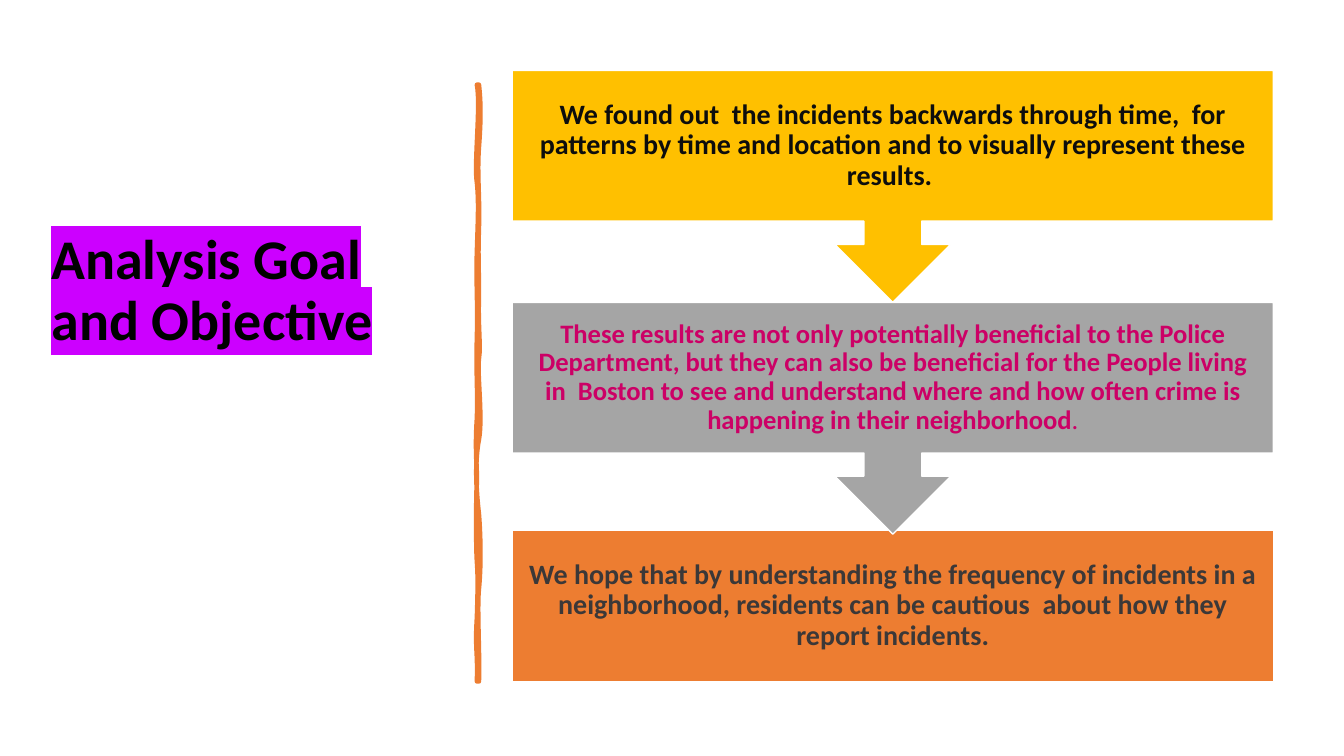
import pptx
import pptx.util
import pptx.dml.color
import pptx.enum.shapes
import pptx.enum.text
import pptx.oxml
import pptx.oxml.ns

Inches, Pt = pptx.util.Inches, pptx.util.Pt
SHAPE = pptx.enum.shapes.MSO_SHAPE
ALIGN = pptx.enum.text.PP_ALIGN
MIDDLE = pptx.enum.text.MSO_ANCHOR.MIDDLE
NS = pptx.oxml.ns.nsdecls("a")

FONT = "Calibri"
COLORS = {
    "title": "000000", "highlight": "CC00FF", "edge": "FFFFFF",
    "gold": "FFC000", "gray": "A5A5A5", "orange": "ED7D31",
    "black": "0D0D0D", "pink": "CC0066", "dark": "3B3838",
}
TITLE = "Analysis Goal\vand Objective"

# top, height, preset, fill, text colour, size, inset, (text, bold) runs
STEPS = [
    (0.7, 2.3, SHAPE.DOWN_ARROW_CALLOUT, "gold", "black", 20, 0.16, [
        ("We found out  the incidents backwards through time,  for patterns by time "
         "and location and to visually represent these results. ", True)]),
    (3.0, 2.3, SHAPE.DOWN_ARROW_CALLOUT, "gray", "pink", 19, 0.15, [
        ("These results are not only potentially beneficial to the Police Department, "
         "but they can also be beneficial for the People living in  Boston to see and "
         "understand where and how often crime is happening in their neighborhood", True),
        (".", False)]),
    (5.26, 1.5, SHAPE.RECTANGLE, "orange", "dark", 20, 0.16, [
        ("We hope that by understanding the frequency of incidents in a neighborhood, "
         "residents can be cautious  about how they report incidents.", True)]),
]
STEP_LEFT, STEP_WIDTH = 5.08, 7.55

# Hand-drawn divider: start point, then Bezier curves (two controls and an end)
START = (4.75, 0.84)
STROKE_CURVES = [
    (4.77, 1.02, 4.77, 1.19, 4.75, 1.46), (4.73, 1.73, 4.76, 1.95, 4.75, 2.26),
    (4.74, 2.57, 4.75, 2.62, 4.75, 2.94), (4.74, 3.25, 4.77, 3.42, 4.75, 3.56),
    (4.73, 3.7, 4.79, 4.14, 4.75, 4.36), (4.71, 4.57, 4.72, 4.84, 4.75, 5.1),
    (4.77, 5.36, 4.77, 5.64, 4.75, 5.84), (4.73, 6.03, 4.76, 6.5, 4.75, 6.76),
    (4.74, 6.76, 4.73, 6.76, 4.73, 6.76), (4.74, 6.46, 4.71, 6.44, 4.73, 6.13),
    (4.74, 5.83, 4.74, 5.7, 4.73, 5.57), (4.72, 5.44, 4.72, 4.95, 4.73, 4.77),
    (4.73, 4.59, 4.71, 4.45, 4.73, 4.15), (4.74, 3.86, 4.72, 3.73, 4.73, 3.35),
    (4.74, 2.98, 4.72, 2.81, 4.73, 2.5), (4.74, 2.18, 4.75, 2, 4.73, 1.81),
    (4.7, 1.63, 4.77, 1.04, 4.73, 0.84), (4.74, 0.84, 4.74, 0.84, 4.75, 0.84),
]
FILL_CURVES = [
    (4.75, 1.15, 4.72, 1.25, 4.75, 1.52), (4.77, 1.79, 4.74, 1.97, 4.75, 2.08),
    (4.76, 2.2, 4.74, 2.55, 4.75, 2.94), (4.76, 3.33, 4.73, 3.43, 4.75, 3.62),
    (4.77, 3.81, 4.77, 3.97, 4.75, 4.3), (4.72, 4.63, 4.75, 4.74, 4.75, 5.16),
    (4.75, 5.57, 4.74, 5.53, 4.75, 5.78), (4.76, 6.03, 4.74, 6.47, 4.75, 6.76),
    (4.74, 6.75, 4.73, 6.75, 4.73, 6.76), (4.7, 6.49, 4.74, 6.32, 4.73, 6.13),
    (4.72, 5.95, 4.75, 5.69, 4.73, 5.39), (4.71, 5.1, 4.76, 5, 4.73, 4.71),
    (4.7, 4.42, 4.77, 4.2, 4.73, 3.86), (4.69, 3.51, 4.74, 3.25, 4.73, 3),
    (4.71, 2.75, 4.71, 2.59, 4.73, 2.38), (4.74, 2.16, 4.74, 1.85, 4.73, 1.64),
    (4.71, 1.43, 4.75, 1.21, 4.73, 0.84), (4.74, 0.84, 4.74, 0.84, 4.75, 0.84),
]
DIVIDER_PATHS = [('fill="none"', STROKE_CURVES), ('stroke="0"', FILL_CURVES)]


def rgb(name):
    return pptx.dml.color.RGBColor.from_string(COLORS[name])


def style_run(r, size, color, bold=True):
    r.font.size, r.font.bold, r.font.name = Pt(size), bold, FONT
    r.font.color.rgb = rgb(color)


def add_title(slide):
    title = slide.shapes.title
    title.left, title.top, title.width, title.height = map(Inches, (0.41, 0.7, 3.79, 4.39))
    tf = title.text_frame
    tf.text = TITLE
    tf.auto_size = pptx.enum.text.MSO_AUTO_SIZE.NONE
    tf.vertical_anchor = MIDDLE
    p = tf.paragraphs[0]
    p.alignment, p.line_spacing = ALIGN.LEFT, 0.9
    for r in p.runs:
        style_run(r, 40, "title")
        highlight = pptx.oxml.parse_xml(
            f'<a:highlight {NS}><a:srgbClr val="{COLORS["highlight"]}"/></a:highlight>')
        r.font._element.find(pptx.oxml.ns.qn("a:solidFill")).addnext(highlight)


def curved_path(s, paint, curves):
    """Return a closed path of Bezier curves in the coordinates of shape s."""
    def point(x, y):
        return f'<a:pt x="{Inches(x) - s.left}" y="{Inches(y) - s.top}"/>'

    beziers = "".join(
        "<a:cubicBezTo>" + "".join(point(*c[i:i + 2]) for i in (0, 2, 4)) + "</a:cubicBezTo>"
        for c in curves)
    return pptx.oxml.parse_xml(
        f'<a:path {NS} w="{s.width}" h="{s.height}" {paint}>'
        f'<a:moveTo>{point(*START)}</a:moveTo>{beziers}<a:close/></a:path>')


def add_divider(slide):
    builder = slide.shapes.build_freeform(*map(Inches, START))
    builder.add_line_segments([tuple(map(Inches, c[4:])) for c in STROKE_CURVES])
    s = builder.convert_to_shape()
    path_list = s._element.spPr.find(".//" + pptx.oxml.ns.qn("a:pathLst"))
    path_list.remove(path_list[0])
    for paint, curves in DIVIDER_PATHS:
        path_list.append(curved_path(s, paint, curves))
    s.shadow.inherit = False
    s.fill.solid()
    s.fill.fore_color.rgb = rgb("orange")
    s.line.color.rgb = rgb("orange")
    s.line.width = Pt(3.25)


def add_step(slide, top, height, preset, fill, color, size, inset, runs):
    s = slide.shapes.add_shape(
        preset, *map(Inches, (STEP_LEFT, top, STEP_WIDTH, height)))
    s.shadow.inherit = False
    s.fill.solid()
    s.fill.fore_color.rgb = rgb(fill)
    s.line.color.rgb = rgb("edge")
    s.line.width = Pt(1)
    tf = s.text_frame
    tf.word_wrap, tf.vertical_anchor = True, MIDDLE
    tf.margin_left = tf.margin_right = tf.margin_top = tf.margin_bottom = Inches(inset)
    p = tf.paragraphs[0]
    p.alignment, p.line_spacing = ALIGN.CENTER, 0.9
    for text, bold in runs:
        r = p.add_run()
        r.text = text
        style_run(r, size, color, bold)


def main():
    prs = pptx.Presentation()
    prs.slide_width, prs.slide_height = Inches(13.33), Inches(7.5)
    slide = prs.slides.add_slide(prs.slide_layouts[5])
    add_title(slide)
    add_divider(slide)
    for step in reversed(STEPS):  # each arrow tip lies over the next box
        add_step(slide, *step)
    prs.save("out.pptx")


if __name__ == "__main__":
    main()
